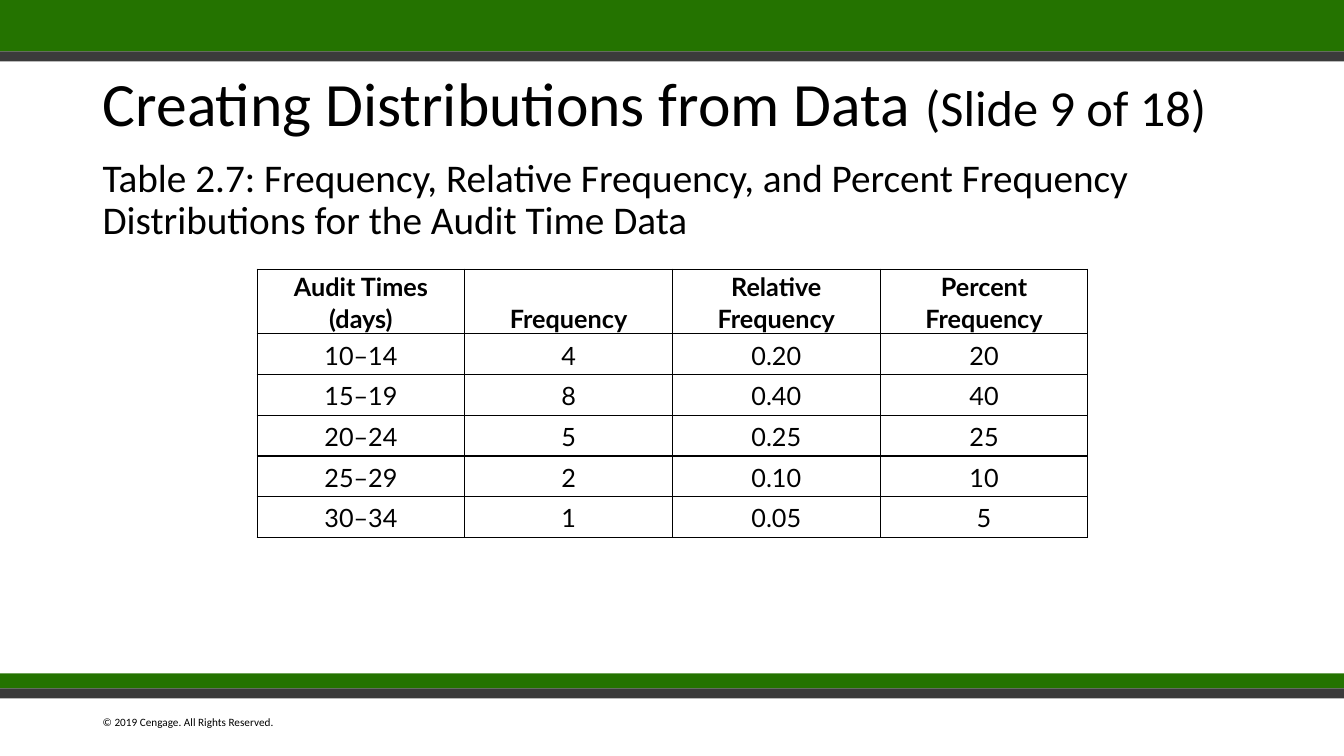
from pptx import Presentation
from pptx.dml.color import RGBColor
from pptx.enum.shapes import MSO_SHAPE
from pptx.enum.text import MSO_ANCHOR, MSO_AUTO_SIZE, PP_ALIGN
from pptx.oxml import parse_xml
from pptx.oxml.ns import nsdecls
from pptx.util import Inches, Pt

RECTANGLE = MSO_SHAPE.RECTANGLE
TOP, MIDDLE, BOTTOM = MSO_ANCHOR.TOP, MSO_ANCHOR.MIDDLE, MSO_ANCHOR.BOTTOM
NO_AUTOFIT = MSO_AUTO_SIZE.NONE
LEFT, CENTER = PP_ALIGN.LEFT, PP_ALIGN.CENTER

GREEN = RGBColor(0x24, 0x73, 0x00)
DARK_GRAY = RGBColor(0x3B, 0x3B, 0x3B)
FOOT_GRAY = RGBColor(0x3A, 0x3A, 0x3A)
BLACK = RGBColor(0, 0, 0)

SLIDE_WIDTH, SLIDE_HEIGHT = 13.33, 7.5
MARGIN, CONTENT_WIDTH = 0.92, 11.5
HEADER_HEIGHT = 0.64
TITLE_PARTS = [("Creating Distributions from Data ", 44), ("(Slide 9 of 18)", 36)]
CAPTION = (
    "Table 2.7: Frequency, Relative Frequency, and Percent Frequency "
    "Distributions for the Audit Time Data"
)
COPYRIGHT = "© 2019 Cengage. All Rights Reserved."
AUDIT_TIMES = [
    ("Audit Times (days)", "Frequency", "Relative Frequency", "Percent Frequency"),
    ("10–14", "4", "0.20", "20"),
    ("15–19", "8", "0.40", "40"),
    ("20–24", "5", "0.25", "25"),
    ("25–29", "2", "0.10", "10"),
    ("30–34", "1", "0.05", "5"),
]


def style_font(font, size, name="Calibri", bold=False):
    """Set the typeface, size and weight of black text."""
    font.name, font.size, font.bold = name, Pt(size), bold
    font.color.rgb = BLACK


def add_band(slide, top, green_height, gray):
    """Draw a full-width green band with a thin gray band below it."""
    for y, height, color in ((top, green_height, GREEN), (top + green_height, 0.1, gray)):
        band = slide.shapes.add_shape(
            RECTANGLE, 0, Inches(y), Inches(SLIDE_WIDTH), Inches(height)
        )
        band.shadow.inherit = False
        band.fill.solid()
        band.fill.fore_color.rgb = color
        band.line.fill.background()


def place_title(slide, left, top, width, height):
    """Move the title placeholder and write its two sizes of text."""
    title = slide.shapes.title
    title.left, title.top = Inches(left), Inches(top)
    title.width, title.height = Inches(width), Inches(height)
    frame = title.text_frame
    frame.vertical_anchor, frame.auto_size = TOP, NO_AUTOFIT
    heading = frame.paragraphs[0]
    heading.alignment, heading.line_spacing = LEFT, 0.9
    for words, size in TITLE_PARTS:
        part = heading.add_run()
        part.text = words
        style_font(part.font, size)


def add_text(slide, left, top, width, height, words, size, line_spacing=1.0):
    """Add a wrapped text box with one paragraph."""
    box = slide.shapes.add_textbox(Inches(left), Inches(top), Inches(width), Inches(height))
    box.text_frame.word_wrap = True
    paragraph = box.text_frame.paragraphs[0]
    paragraph.text = words
    paragraph.line_spacing = line_spacing
    style_font(paragraph.font, size)


def style_cell(cell, is_header):
    """Format a table cell and give it thin black borders."""
    cell.margin_left = cell.margin_right = Inches(0.07)
    cell.margin_top = cell.margin_bottom = 0
    cell.vertical_anchor = BOTTOM if is_header else MIDDLE
    paragraph = cell.text_frame.paragraphs[0]
    paragraph.alignment, paragraph.line_spacing = CENTER, 1.07
    style_font(paragraph.font, 18, "Lato", is_header)
    properties = cell._tc.get_or_add_tcPr()
    for side in ("lnL", "lnR", "lnT", "lnB"):
        properties.append(parse_xml(
            f'<a:{side} {nsdecls("a")} w="{Pt(1)}"><a:solidFill>'
            f'<a:srgbClr val="{BLACK}"/></a:solidFill></a:{side}>'
        ))
    cell.fill.background()


def add_distribution_table(slide, left, top, width, height):
    """Add the audit time table, with a taller header row."""
    row_count, column_count = len(AUDIT_TIMES), len(AUDIT_TIMES[0])
    table = slide.shapes.add_table(
        row_count, column_count, Inches(left), Inches(top), Inches(width), Inches(height)
    ).table
    table.horz_banding = False
    for column in table.columns:
        column.width = Inches(width / column_count)
    for r, values in enumerate(AUDIT_TIMES):
        is_header = r == 0
        table.rows[r].height = Inches(
            HEADER_HEIGHT if is_header else (height - HEADER_HEIGHT) / (row_count - 1)
        )
        for c, value in enumerate(values):
            cell = table.cell(r, c)
            cell.text = value
            style_cell(cell, is_header)


def main():
    """Build and save the slide."""
    deck = Presentation()
    deck.slide_width, deck.slide_height = Inches(SLIDE_WIDTH), Inches(SLIDE_HEIGHT)
    slide = deck.slides.add_slide(deck.slide_layouts[5])
    add_text(slide, MARGIN, 7.05, 2, 0.23, COPYRIGHT, 8)
    add_band(slide, 0, 0.51, DARK_GRAY)
    add_band(slide, 6.68, 0.15, FOOT_GRAY)
    place_title(slide, MARGIN, 0.68, CONTENT_WIDTH, 1.15)
    add_text(slide, MARGIN, 1.52, CONTENT_WIDTH, 1.57, CAPTION, 28, 0.9)
    add_distribution_table(slide, 2.55, 2.67, 8.24, 2.66)
    deck.save("out.pptx")


if __name__ == "__main__":
    main()
